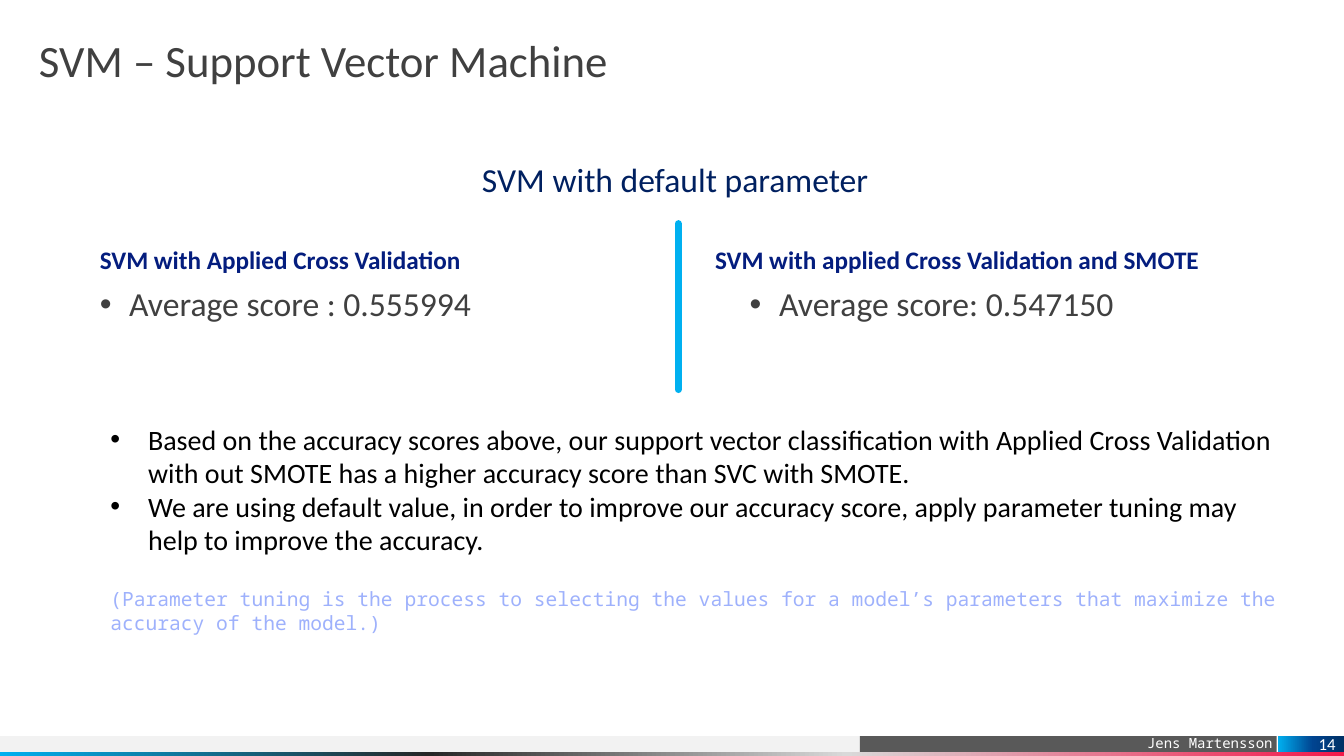
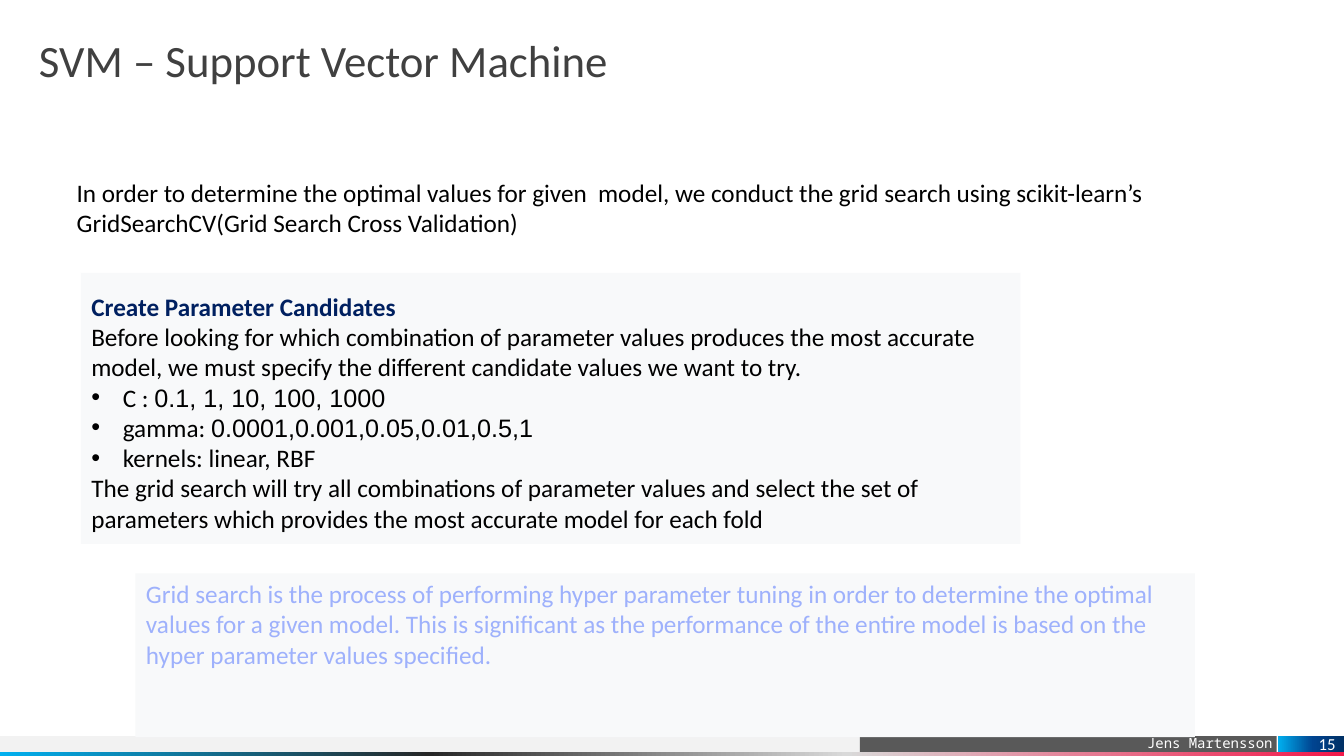
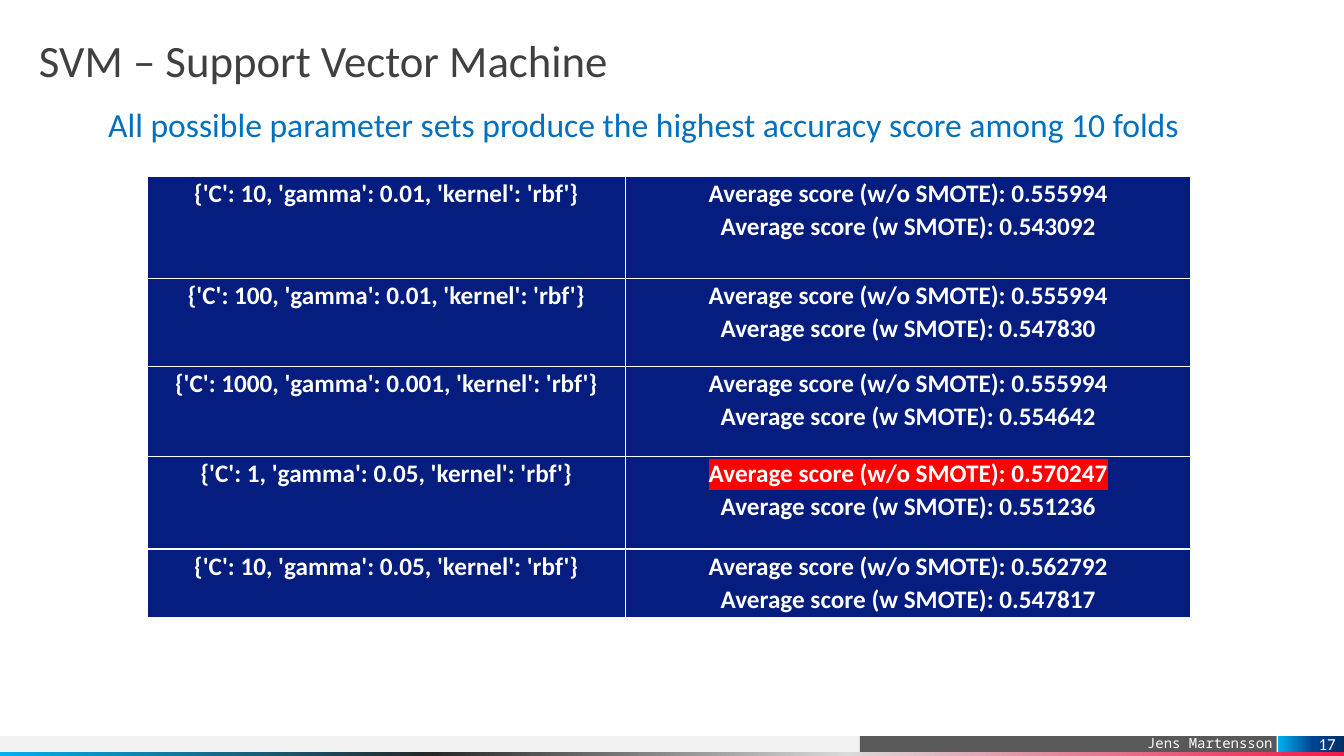
"""Builds three slides on support vector machines and their grid search."""
from lxml import etree
from pptx import Presentation
from pptx.dml.color import RGBColor
from pptx.enum.shapes import MSO_CONNECTOR, MSO_SHAPE
from pptx.enum.text import MSO_ANCHOR, MSO_AUTO_SIZE, PP_ALIGN
from pptx.oxml.ns import qn
from pptx.util import Pt

PX = 9525
RECTANGLE = MSO_SHAPE.RECTANGLE
STRAIGHT = MSO_CONNECTOR.STRAIGHT
TOP, MIDDLE, BOTTOM = MSO_ANCHOR.TOP, MSO_ANCHOR.MIDDLE, MSO_ANCHOR.BOTTOM
LEFT, CENTER, RIGHT = PP_ALIGN.LEFT, PP_ALIGN.CENTER, PP_ALIGN.RIGHT
FIXED_SIZE = MSO_AUTO_SIZE.NONE

SANS, MONO, ARIAL = "Calibri", "Noto Sans Mono", "Arial"
BLACK, WHITE, GRAY = "000000", "FFFFFF", "404040"
NAVY, DARK_BLUE, SKY, BLUE = "041D7E", "002060", "00B0F0", "0070C0"
PERIWINKLE, PALE, RED = "9EB1FC", "F8F9FA", "FF0000"
NO_INSETS = (0, 0, 0, 0)


def paint(fill, color):
    fill.solid()
    fill.fore_color.rgb = RGBColor.from_string(color)


def write(frame, texts, size, color, face=SANS, bold=False, align=LEFT, anchor=TOP,
          insets=(10, 5, 10, 5), spacing=1.0, indent=0):
    frame.word_wrap = True
    frame.auto_size = FIXED_SIZE
    frame.vertical_anchor = anchor
    frame.margin_left, frame.margin_top, frame.margin_right, frame.margin_bottom = (
        inset * PX for inset in insets)
    frame.text = "\n".join(text.removeprefix("• ") for text in texts)
    for paragraph, text in zip(frame.paragraphs, texts):
        paragraph.alignment = align
        paragraph.line_spacing = spacing
        paragraph.space_before = Pt(0)
        properties = paragraph._p.get_or_add_pPr()
        bulleted = text.startswith("• ")
        margin = indent * PX if bulleted else 0
        properties.set("marL", str(margin))
        properties.set("indent", str(-margin))
        if bulleted:
            etree.SubElement(properties, qn("a:buFont"), typeface=ARIAL)
            etree.SubElement(properties, qn("a:buChar"), char="•")
        else:
            etree.SubElement(properties, qn("a:buNone"))
        for run in paragraph.runs:
            run.font.size = Pt(size)
            run.font.name = face
            run.font.bold = bold
            paint(run.font.fill, color)


presentation = Presentation()
presentation.slide_width = 1280 * PX
presentation.slide_height = 720 * PX
slides = []
for layout_index, page_number in ((4, 14), (1, 15), (5, 17)):
    slide = presentation.slides.add_slide(presentation.slide_layouts[layout_index])
    slides.append(slide)
    title = slide.shapes.title
    title.left, title.top, title.width, title.height = (n * PX for n in (37, 37, 1205, 57))
    write(title.text_frame, ["SVM – Support Vector Machine"], 32, GRAY,
          insets=NO_INSETS, spacing=0.9)
    number_box = slide.shapes.add_textbox(*(n * PX for n in (1217, 701, 63, 15)))
    write(number_box.text_frame, [str(page_number)], 12, WHITE, align=RIGHT,
          anchor=MIDDLE, insets=(0, 0, 8, 0))
default_slide, search_slide, result_slide = slides

footer_bars = (
    ((-1, 701, 988, 15), "", ((0, "F2F2F2"),)),
    ((819, 701, 397, 15), "Jens Martensson", ((0, "595959"),)),
    ((-1, 716, 1281, 4), "", ((0, SKY), (32, "262626"), (63, "D9D9D9"), (100, "F2194A"))),
    ((1217, 701, 63, 15), "", ((0, SKY), (53, "004490"), (100, "003065"))),
)
master_tree = presentation.slide_master.shapes.element
for position, (box, text, stops) in enumerate(footer_bars, start=2):
    bar = default_slide.shapes.add_shape(RECTANGLE, *(n * PX for n in box))
    bar.shadow.inherit = False
    bar.line.fill.background()
    if len(stops) == 1:
        paint(bar.fill, stops[0][1])
    else:
        bar.fill.gradient()
        bar.fill.gradient_angle = 0
        stop_list = next(bar.element.iter(qn("a:gsLst")))
        stop_list.clear()
        for percent, color in stops:
            stop = etree.SubElement(stop_list, qn("a:gs"), pos=str(percent * 1000))
            etree.SubElement(stop, qn("a:srgbClr"), val=color)
    if text:
        write(bar.text_frame, [text], 10, WHITE, MONO, align=RIGHT, anchor=BOTTOM,
              insets=(10, 0, 4, 0))
    master_tree.insert(position, bar.element)

comparison = (
    (1, (95, 236, 464, 37), "SVM with Applied Cross Validation", 18, NAVY, True),
    (2, (95, 274, 464, 222), "• Average score : 0.555994", 24, GRAY, False),
    (3, (681, 236, 496, 37), "SVM with applied Cross Validation and SMOTE", 18, NAVY, True),
    (4, (714, 274, 409, 52), "• Average score: 0.547150", 24, GRAY, False),
)
for index, box, text, size, color, bold in comparison:
    body = default_slide.placeholders[index]
    body.left, body.top, body.width, body.height = (n * PX for n in box)
    write(body.text_frame, [text], size, color, bold=bold, insets=NO_INSETS,
          spacing=0.9, indent=28)

divider = default_slide.shapes.add_connector(STRAIGHT, *(n * PX for n in (646, 213, 646, 371)))
paint(divider.line.fill, SKY)
divider.line.width = Pt(5)
divider.element.spPr.find(qn("a:ln")).set("cap", "rnd")
etree.SubElement(divider.element.spPr, qn("a:effectLst"))

subtitle = default_slide.shapes.add_textbox(*(n * PX for n in (449, 146, 464, 48)))
write(subtitle.text_frame, ["SVM with default parameter"], 24, DARK_BLUE)

findings = default_slide.shapes.add_textbox(*(n * PX for n in (95, 397, 1137, 213)))
write(findings.text_frame, [
    "• Based on the accuracy scores above, our support vector classification with Applied "
    "Cross Validation with out SMOTE has a higher accuracy score than SVC with SMOTE.",
    "• We are using default value, in order to improve our accuracy score, apply parameter "
    "tuning may help to improve the accuracy.",
    "(Parameter tuning is the process to selecting the values for a model’s parameters that "
    "maximize the accuracy of the model.)",
], 20, BLACK, indent=36)
tuning_note = findings.text_frame.paragraphs[-1]
tuning_note.space_before = Pt(22)
note_font = tuning_note.runs[0].font
note_font.size = Pt(14)
note_font.name = MONO
paint(note_font.fill, PERIWINKLE)

definition = search_slide.placeholders[1]
definition.left, definition.top, definition.width, definition.height = (
    n * PX for n in (129, 546, 1009, 156))
paint(definition.fill, PALE)
write(definition.text_frame, [
    "Grid search is the process of performing hyper parameter tuning in order to determine "
    "the optimal values for a given model. This is significant as the performance of the "
    "entire model is based on the hyper parameter values specified.",
], 18, PERIWINKLE)

candidates = search_slide.shapes.add_textbox(*(n * PX for n in (77, 260, 895, 258)))
paint(candidates.fill, PALE)
write(candidates.text_frame, [
    "Create Parameter Candidates",
    "Before looking for which combination of parameter values produces the most accurate "
    "model, we must specify the different candidate values we want to try.",
    "• C : ",
    "• gamma: ",
    "• kernels: linear, RBF",
    "The grid search will try all combinations of parameter values and select the set of "
    "parameters which provides the most accurate model for each fold",
], 18, BLACK, anchor=MIDDLE, insets=(10, 16, 10, 9), indent=30)
candidate_paragraphs = candidates.text_frame.paragraphs
heading_font = candidate_paragraphs[0].runs[0].font
heading_font.bold = True
paint(heading_font.fill, DARK_BLUE)
for index, values in ((2, "0.1, 1, 10, 100, 1000"), (3, "0.0001,0.001,0.05,0.01,0.5,1")):
    run = candidate_paragraphs[index].add_run()
    run.text = values
    run.font.size = Pt(18)
    run.font.name = ARIAL
    paint(run.font.fill, BLACK)

introduction = search_slide.shapes.add_textbox(*(n * PX for n in (63, 164, 1052, 68)))
write(introduction.text_frame, [
    "In order to determine the optimal values for given  model, we conduct the grid search "
    "using scikit-learn’s GridSearchCV(Grid Search Cross Validation)",
], 18, BLACK)

result_heading = result_slide.shapes.add_textbox(*(n * PX for n in (87, 94, 1052, 87)))
write(result_heading.text_frame,
      ["All possible parameter sets produce the highest accuracy score among 10 folds"],
      24, BLUE, align=CENTER)

results = (
    (97, "10", "0.01", "0.555994", "0.543092"),
    (84, "100", "0.01", "0.555994", "0.547830"),
    (86, "1000", "0.001", "0.555994", "0.554642"),
    (88, "1", "0.05", "0.570247", "0.551236"),
    (65, "10", "0.05", "0.562792", "0.547817"),
)
best_score = max(row[3] for row in results)
table = result_slide.shapes.add_table(
    len(results), 2, *(n * PX for n in (140, 168, 994, 420))).table
table.horz_banding = False
for column, width in zip(table.columns, (456, 538)):
    column.width = width * PX
for row, (height, penalty, gamma, plain_score, smote_score) in zip(table.rows, results):
    row.height = height * PX
    cell_texts = (
        [f"{{'C': {penalty}, 'gamma': {gamma}, 'kernel': 'rbf'}}"],
        [f"Average score (w/o SMOTE): {plain_score}", f"Average score (w SMOTE): {smote_score}"],
    )
    for cell, texts in zip(row.cells, cell_texts):
        paint(cell.fill, NAVY)
        write(cell.text_frame, texts, 18, WHITE, bold=True, align=CENTER, spacing=1.07)
        cell.vertical_anchor = TOP
        cell.margin_left = cell.margin_right = 7 * PX
        cell.margin_top = cell.margin_bottom = 0
    if plain_score == best_score:
        best_run = row.cells[1].text_frame.paragraphs[0].runs[0]
        highlight = etree.Element(qn("a:highlight"))
        etree.SubElement(highlight, qn("a:srgbClr"), val=RED)
        best_run._r.rPr.find(qn("a:solidFill")).addnext(highlight)

presentation.save("out.pptx")
